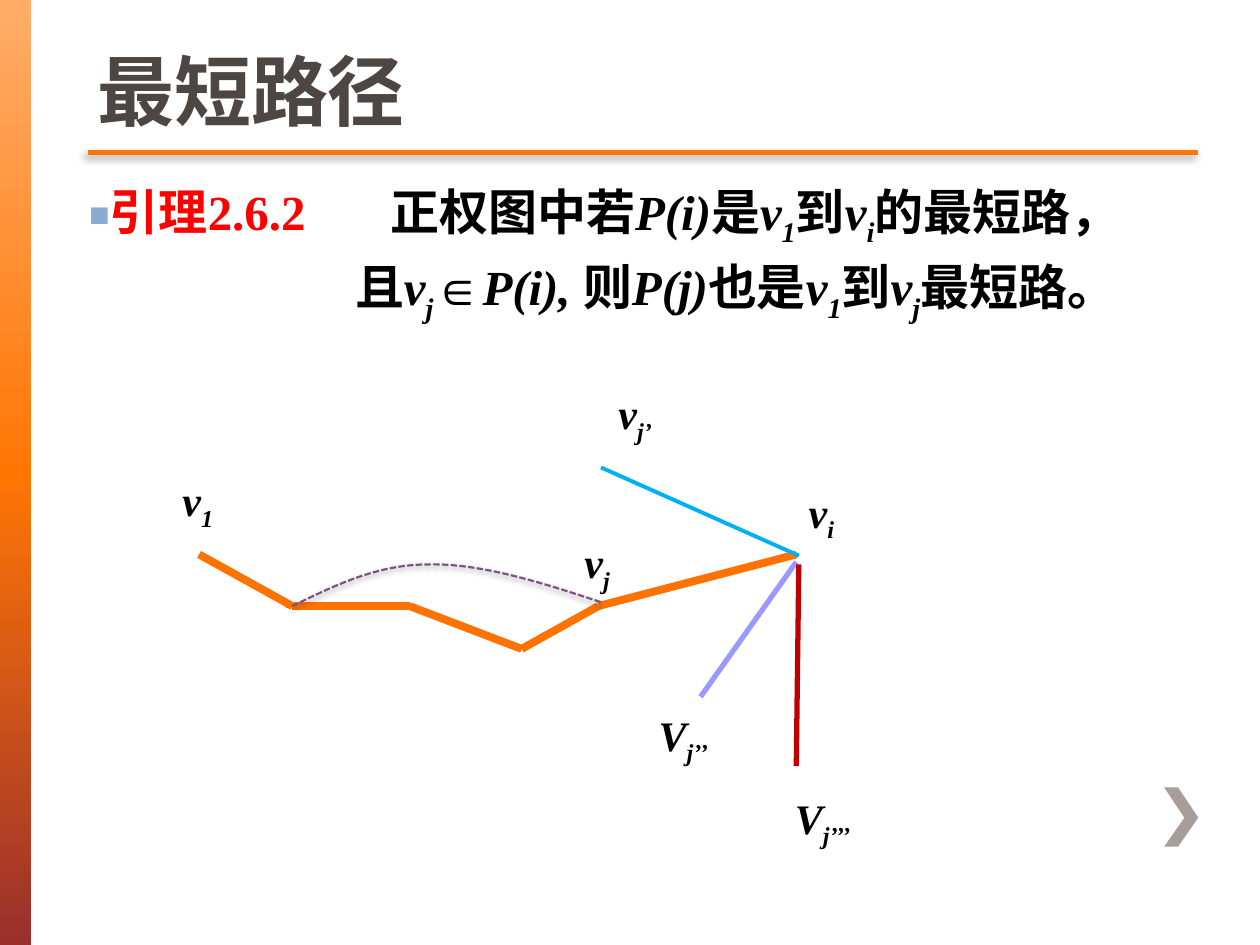
from itertools import pairwise

from lxml import etree
from pptx import Presentation
from pptx.dml.color import RGBColor
from pptx.enum.dml import MSO_LINE
from pptx.enum.shapes import MSO_CONNECTOR, MSO_SHAPE
from pptx.enum.text import MSO_ANCHOR, PP_ALIGN
from pptx.oxml.ns import qn
from pptx.util import Inches, Pt

STRAIGHT, CURVE = MSO_CONNECTOR.STRAIGHT, MSO_CONNECTOR.CURVE
RECTANGLE = MSO_SHAPE.RECTANGLE
SQUARE_DOT = MSO_LINE.SQUARE_DOT
BOTTOM, LEFT = MSO_ANCHOR.BOTTOM, PP_ALIGN.LEFT
TITLE_ONLY = 5
SERIF = "Times New Roman"
ORANGE = "FE7300"
BLACK = "000000"


def rgb(value):
    """Turn a hex string into a colour."""
    return RGBColor.from_string(value)


def add_xml(parent, tag, **attributes):
    """Append a drawing element and return it."""
    element = etree.SubElement(parent, qn(tag))
    for name, value in attributes.items():
        element.set(name, str(value))
    return element


def set_shadow(shape, alpha=0, blur=0, distance=0, angle=0):
    """Give a shape a black shadow, or none when alpha is zero."""
    effects = add_xml(shape._element.spPr, "a:effectLst")
    if alpha:
        shadow = add_xml(effects, "a:outerShdw", blurRad=Pt(blur), dist=Pt(distance),
                         dir=angle * 60000, algn="tl", rotWithShape=0)
        color = add_xml(shadow, "a:srgbClr", val=BLACK)
        add_xml(color, "a:alpha", val=alpha * 1000)


def add_line(slide, start, end, color, width, kind=STRAIGHT, shadow=()):
    """Draw a line between two points."""
    line = slide.shapes.add_connector(kind, *(Inches(v) for v in (*start, *end)))
    line.line.color.rgb = rgb(color)
    line.line.width = Pt(width)
    set_shadow(line, *shadow)


def add_outline(slide, points, close):
    """Build a freeform through the points."""
    start, *rest = [(Inches(x), Inches(y)) for x, y in points]
    builder = slide.shapes.build_freeform(*start)
    builder.add_line_segments(rest, close=close)
    return builder.convert_to_shape()


def add_curve(slide, points, color, width):
    """Draw a dashed Bezier curve: a start, then three points per segment."""
    shape = add_outline(slide, points, close=False)
    outline = next(shape._element.iter(qn("a:path")))
    steps = outline.findall(qn("a:lnTo"))
    for first in range(0, len(steps), 3):
        segment = add_xml(outline, "a:cubicBezTo")
        for step in steps[first:first + 3]:
            segment.append(step[0])
            outline.remove(step)
    shape.fill.background()
    shape.line.color.rgb = rgb(color)
    shape.line.width = Pt(width)
    shape.line.dash_style = SQUARE_DOT
    set_shadow(shape, 38, 3.1, 1.6, 90)


def add_side_bar(slide):
    """Draw the gradient bar on the left edge."""
    bar = slide.shapes.add_shape(RECTANGLE, 0, 0, Inches(0.25), Inches(7.5))
    bar.shadow.inherit = False
    bar.line.fill.background()
    bar.fill.gradient()
    bar.fill.gradient_angle = 270
    stops = next(bar._element.iter(qn("a:gsLst")))
    for stop in list(stops):
        stops.remove(stop)
    for position, color in ((0, "FFAD69"), (50, "FF7605"), (100, "9A2F2C")):
        stop = add_xml(stops, "a:gs", pos=position * 1000)
        add_xml(stop, "a:srgbClr", val=color)


def add_chevron(slide):
    """Draw the grey page chevron."""
    points = [(9.35, 6.25), (9.24, 6.25), (9.4, 6.49),
              (9.24, 6.72), (9.35, 6.72), (9.51, 6.49)]
    chevron = add_outline(slide, points, close=True)
    chevron.shadow.inherit = False
    chevron.fill.solid()
    chevron.fill.fore_color.rgb = rgb("A79D99")
    chevron.line.fill.background()


def add_span(para, text, size, style="", color=BLACK, font=SERIF):
    """Add a bold run; style is plain, 'italic' or 'sub'."""
    span = para.add_run()
    span.text = text
    span.font.name = font
    span.font.size = Pt(size)
    span.font.bold = True
    span.font.italic = style in ("italic", "sub")
    span.font.color.rgb = rgb(color)
    if style == "sub":
        span.font._element.set("baseline", "-25000")


def add_box(slide, left, top, width, height, wrap):
    """Add a text box and return its frame."""
    box = slide.shapes.add_textbox(*(Inches(v) for v in (left, top, width, height)))
    box.text_frame.word_wrap = wrap
    return box.text_frame


def add_label(slide, left, top, width, letter, index):
    """Add a vertex name with its subscript."""
    para = add_box(slide, left, top, width, 0.5, False).paragraphs[0]
    add_span(para, letter, 24, "italic")
    add_span(para, index, 24, "sub")


def add_title(slide, text):
    """Place and format the title."""
    title = slide.shapes.title
    title.left, title.top = Inches(0.67), Inches(0)
    title.width, title.height = Inches(8.81), Inches(1.13)
    title.text_frame.vertical_anchor = BOTTOM
    para = title.text_frame.paragraphs[0]
    para.alignment = LEFT
    add_span(para, text, 44, color="4D4643", font="Arial")


def add_lemma(slide):
    """Write the lemma as a bulleted line and an indented line."""
    frame = add_box(slide, 0.61, 1.39, 9.65, 1.7, True)
    first, second = frame.paragraphs[0], frame.add_paragraph()
    for para in (first, second):
        para.space_before = Pt(5)

    layout = first._p.get_or_add_pPr()
    add_xml(add_xml(layout, "a:buClr"), "a:srgbClr", val="89AAD3")
    add_xml(layout, "a:buSzPct", val=70000)
    add_xml(layout, "a:buFont", typeface="Arial")
    add_xml(layout, "a:buChar", char="■")
    add_xml(add_xml(layout, "a:tabLst"), "a:tab", pos=Inches(2.39), algn="l")
    second._p.get_or_add_pPr().set("marL", str(Inches(2.11)))

    add_span(first, "引理2.6.2\t", 28, color="FF0000")
    v1 = [("v", "italic"), ("1", "sub")]
    vi = [("v", "italic"), ("i", "sub")]
    vj = [("v", "italic"), ("j", "sub")]
    opening = [("正权图中若", ""), ("P(i)", "italic"), ("是", ""), *v1,
               ("到", ""), *vi, ("的最短路，", "")]
    closing = [("且", ""), *vj, ("∈", ""), ("P(i), ", "italic"), ("则", ""),
               ("P(j)", "italic"), ("也是", ""), *v1, ("到", ""), *vj,
               ("最短路。", "")]
    for para, spans in ((first, opening), (second, closing)):
        for text, style in spans:
            add_span(para, text, 28, style)


def add_graph(slide):
    """Draw the shortest path, its alternatives and the vertex names."""
    route = [(1.58, 4.4), (2.32, 4.81), (3.25, 4.81),
             (4.14, 5.15), (4.75, 4.81), (6.32, 4.4)]
    for start, end in pairwise(route):
        add_line(slide, start, end, ORANGE, 4.5)
    add_line(slide, (2.32, 4.81), (2.27, 4.82), ORANGE, 0.75, CURVE)
    add_curve(slide, [(2.32, 4.81), (2.65, 4.65), (2.99, 4.48), (3.4, 4.48),
                      (3.81, 4.47), (4.29, 4.62), (4.77, 4.78)], "7F5185", 1.25)
    add_line(slide, (4.77, 3.71), (6.34, 4.41), "00B0F0", 2.25)
    add_line(slide, (5.56, 5.53), (6.32, 4.46), "9999FF", 3)
    add_line(slide, (6.32, 6.08), (6.34, 4.48), "C00000", 3)
    for label in ((1.35, 3.72, 0.46, "v", "1"), (6.32, 3.81, 0.41, "v", "i"),
                  (4.54, 4.21, 0.41, "v", "j"), (4.81, 3.03, 0.49, "v", "j’"),
                  (5.13, 5.58, 0.63, "V", "j’’"), (6.21, 6.24, 0.9, "V", "j’’’")):
        add_label(slide, *label)


def main():
    """Build the slide and save it."""
    deck = Presentation()
    deck.slide_width, deck.slide_height = Inches(10), Inches(7.5)
    slide = deck.slides.add_slide(deck.slide_layouts[TITLE_ONLY])
    add_side_bar(slide)
    add_chevron(slide)
    add_line(slide, (0.7, 1.21), (9.51, 1.21), "FF7605", 2.5, shadow=(45, 5, 3, 135))
    add_lemma(slide)
    add_title(slide, "最短路径")
    add_graph(slide)
    deck.save("out.pptx")


main()
